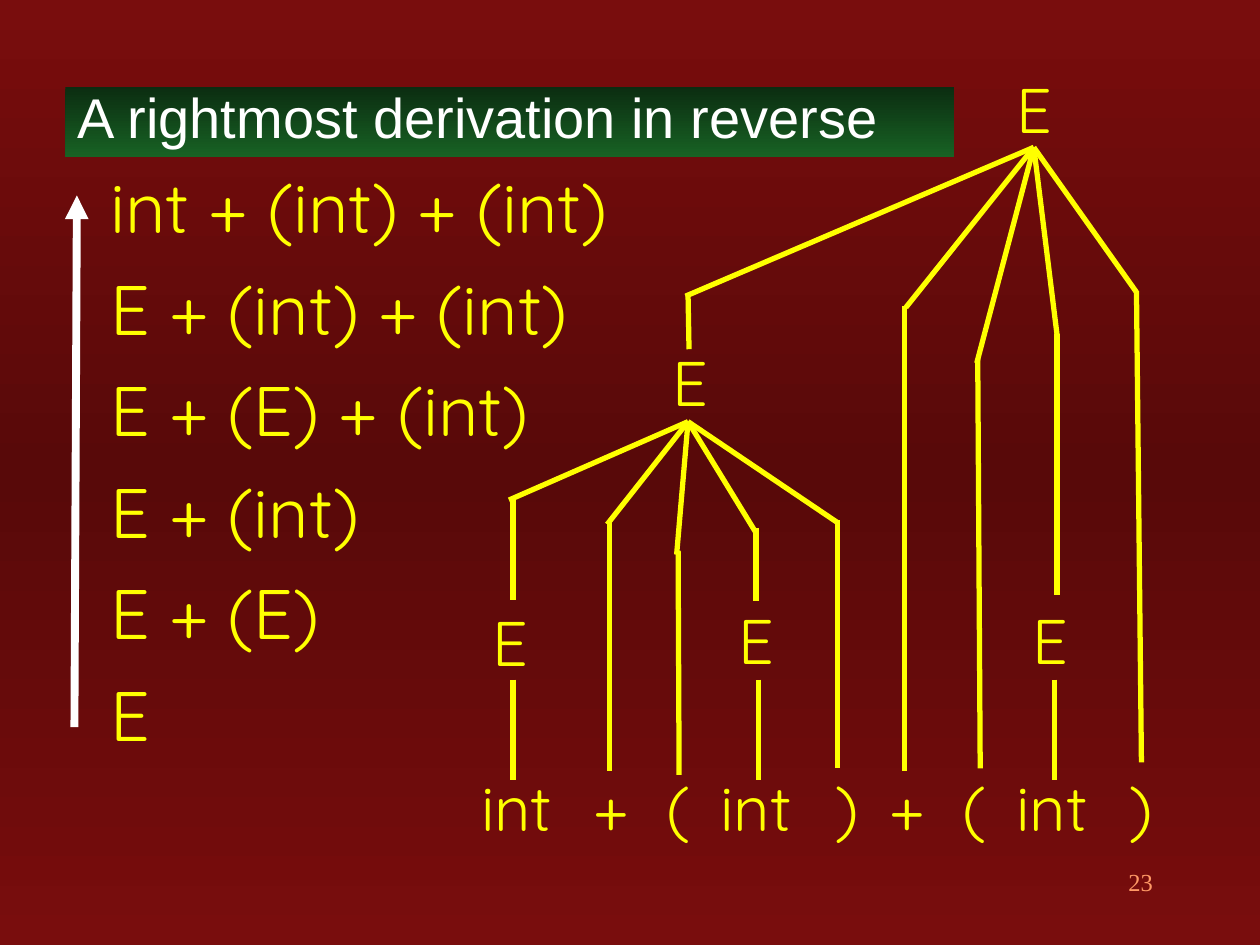
from dataclasses import dataclass

from lxml import etree
from pptx import Presentation
from pptx import util as u
from pptx.dml import color
from pptx.enum import shapes, text
from pptx.oxml import ns


@dataclass(frozen=True)
class Theme:
    """Colours, fonts and type sizes of the deck."""
    ground: tuple = ("790D0D", "580909", "790D0D")
    banner: tuple = ("0B2D11", "186224")
    ink: str = "FFFF00"
    light: str = "FFFFFF"
    number: str = "FF9966"
    code_font: str = "Quicksand"
    title_font: str = "Arial"
    number_font: str = "Times New Roman"
    step_size: int = 40
    node_size: int = 36
    title_size: int = 32
    number_size: int = 14
    branch_width: float = 3
    arrow_width: float = 4.5


class Painter:
    """Holds the theme and the current slide and draws each kind of element."""

    def __init__(self, page, theme):
        self.page, self.theme = page, theme

    def gradient(self, fill, owner, colours):
        fill.gradient()
        fill.gradient_angle = 270
        stops = owner.xpath(".//a:gsLst")[0]
        for stop in list(stops):
            stops.remove(stop)
        for index, value in enumerate(colours):
            position = str(100000 * index // (len(colours) - 1))
            stop = etree.SubElement(stops, ns.qn("a:gs"), pos=position)
            etree.SubElement(stop, ns.qn("a:srgbClr"), val=value)

    def background(self):
        self.gradient(self.page.background.fill, self.page.element, self.theme.ground)

    def style(self, box, font, size, colour, align=text.PP_ALIGN.LEFT):
        for para in box.text_frame.paragraphs:
            para.alignment = align
            for span in para.runs:
                span.font.name, span.font.size = font, u.Pt(size)
                span.font.color.rgb = color.RGBColor.from_string(colour)

    def text_box(self, place, words, wrap=True):
        box = self.page.shapes.add_textbox(*map(u.Cm, place))
        box.text_frame.word_wrap = wrap
        box.text_frame.text = words
        return box

    def node(self, left, top, words):
        width = {"int": 2.08, "(": 0.89, ")": 0.89}.get(words, 1.22)
        box = self.text_box((left, top, width, 1.78), words, wrap=False)
        box.text_frame.auto_size = text.MSO_AUTO_SIZE.SHAPE_TO_FIT_TEXT
        self.style(box, self.theme.code_font, self.theme.node_size, self.theme.ink)

    def steps(self, place, lines):
        box = self.text_box(place, "\n".join(lines))
        self.style(box, self.theme.code_font, self.theme.step_size, self.theme.ink)
        for para in box.text_frame.paragraphs[1:]:
            para.space_before = u.Pt(10)

    def page_number(self, place, words):
        box = self.text_box(place, words)
        self.style(box, self.theme.number_font, self.theme.number_size,
                   self.theme.number, text.PP_ALIGN.RIGHT)

    def line(self, ends, colour, width):
        line = self.page.shapes.add_connector(
            shapes.MSO_CONNECTOR.STRAIGHT, *map(u.Cm, ends))
        line.line.color.rgb = color.RGBColor.from_string(colour)
        line.line.width = u.Pt(width)
        etree.SubElement(line.element.spPr, ns.qn("a:effectLst"))
        return line

    def branch(self, *ends):
        self.line(ends, self.theme.ink, self.theme.branch_width)

    def arrow(self, *ends):
        line = self.line(ends, self.theme.light, self.theme.arrow_width)
        outline = line.element.spPr.find(ns.qn("a:ln"))
        etree.SubElement(outline, ns.qn("a:headEnd"), type="triangle")

    def banner(self, place, words):
        box = self.page.shapes.add_shape(
            shapes.MSO_SHAPE.RECTANGLE, *map(u.Cm, place))
        box.shadow.inherit = False
        box.line.fill.background()
        self.gradient(box.fill, box.element, self.theme.banner)
        frame = box.text_frame
        frame.text, frame.word_wrap = words, True
        frame.vertical_anchor = text.MSO_ANCHOR.TOP
        frame.paragraphs[0].line_spacing = 0.85
        self.style(box, self.theme.title_font, self.theme.title_size, self.theme.light)


STEPS = ["int + (int) + (int)", "E + (int) + (int)", "E + (E) + (int)",
         "E + (int)", "E + (E)", "E"]
LEAF_TOP = 15.37
LEAVES = [(9.45, "int"), (11.71, "+"), (13.18, "("), (14.27, "int"), (16.59, ")"),
          (17.68, "+"), (19.15, "("), (20.24, "int"), (22.53, ")")]
EXPRESSIONS = [(20.24, 1.3), (13.31, 6.81), (9.68, 12.04), (14.63, 12.01),
               (20.57, 12.01)]
FANS = {
    (20.84, 2.97): [(13.82, 5.97), (18.26, 6.2), (19.69, 7.32), (21.31, 6.76),
                    (22.91, 5.89)],
    (13.87, 8.5): [(10.26, 10.08), (12.24, 10.57), (13.64, 11.18), (15.24, 10.74),
                   (16.89, 10.54)],
}
STEMS = [
    (13.87, 5.94, 13.89, 7.04), (18.24, 6.17, 18.24, 15.54),
    (19.71, 7.24, 19.76, 15.49), (21.31, 6.73, 21.31, 11.99),
    (22.91, 5.87, 23.01, 15.37), (10.34, 10.06, 10.34, 12.09),
    (12.29, 10.52, 12.29, 15.54), (13.67, 11.1, 13.69, 15.62),
    (15.24, 10.64, 15.24, 12.12), (16.89, 10.49, 16.89, 15.49),
]
INT_STEMS = [10.34, 15.29, 21.26]


def main():
    deck = Presentation()
    deck.slide_width, deck.slide_height = u.Cm(25.4), u.Cm(19.05)
    painter = Painter(deck.slides.add_slide(deck.slide_layouts[6]), Theme())
    painter.background()
    painter.page_number((18.21, 17.35, 5.28, 1.27), "23")
    painter.steps((1.98, 3.18, 11.05, 12.22), STEPS)
    for left, words in LEAVES:
        painter.node(left, LEAF_TOP, words)
    for left, top in EXPRESSIONS:
        painter.node(left, top, "E")
    for apex, knees in FANS.items():
        for knee in knees:
            painter.branch(*apex, *knee)
    for stem in STEMS:
        painter.branch(*stem)
    for middle in INT_STEMS:
        painter.branch(middle, 13.7, middle, 15.72)
    painter.arrow(1.55, 3.94, 1.5, 14.66)
    painter.banner((1.32, 1.75, 17.91, 1.42), "A rightmost derivation in reverse")
    deck.save("out.pptx")


if __name__ == "__main__":
    main()
